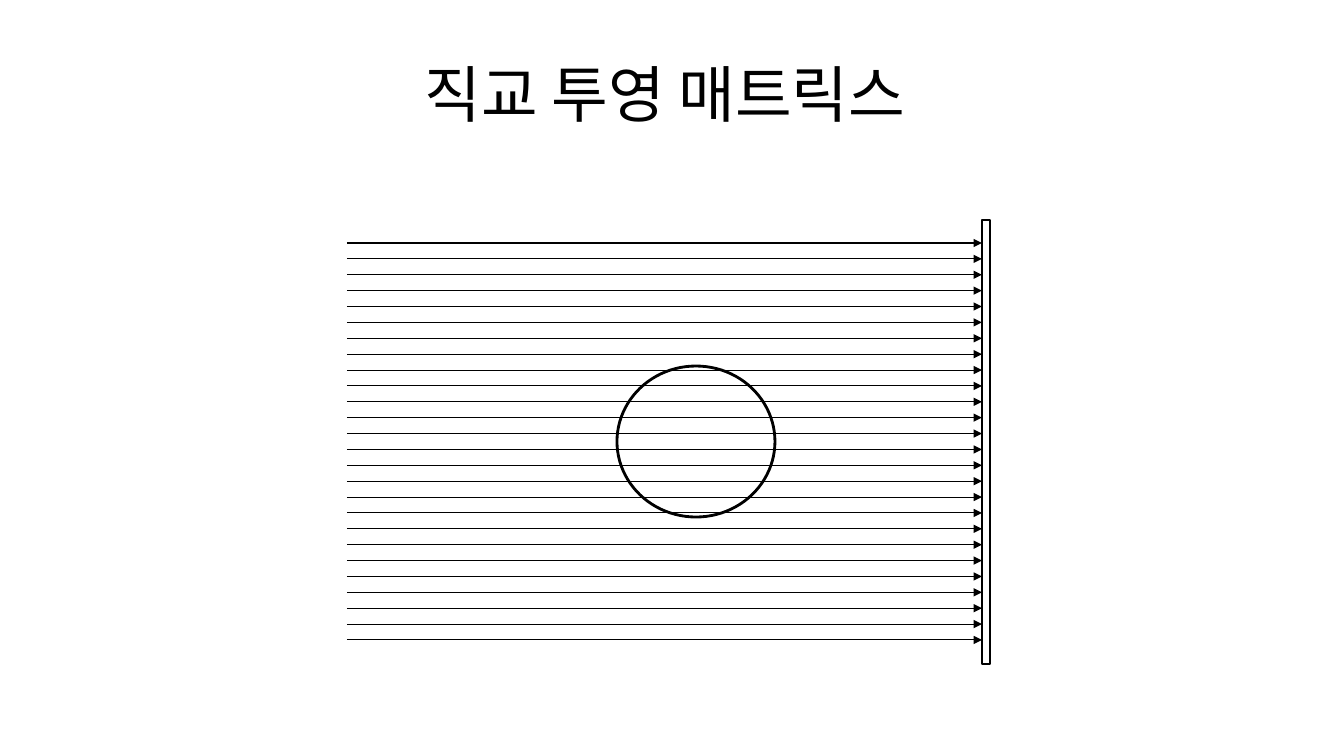
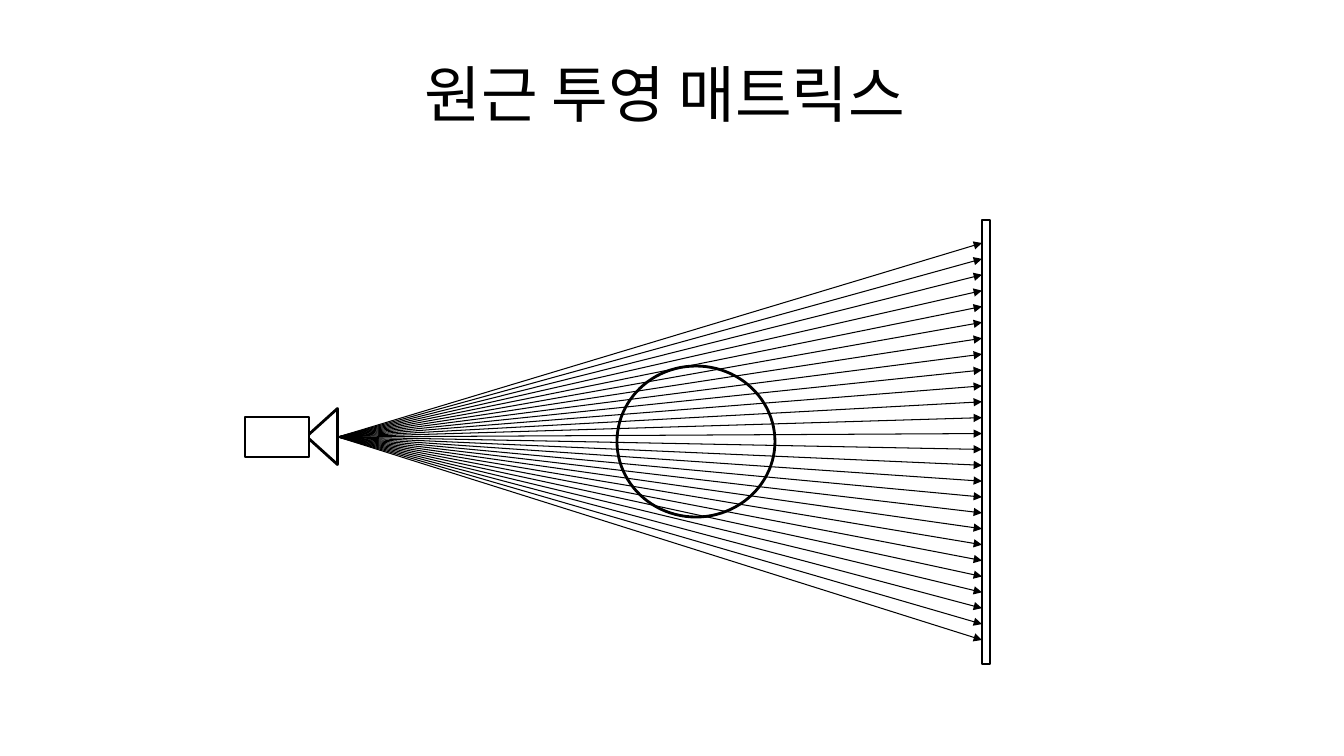
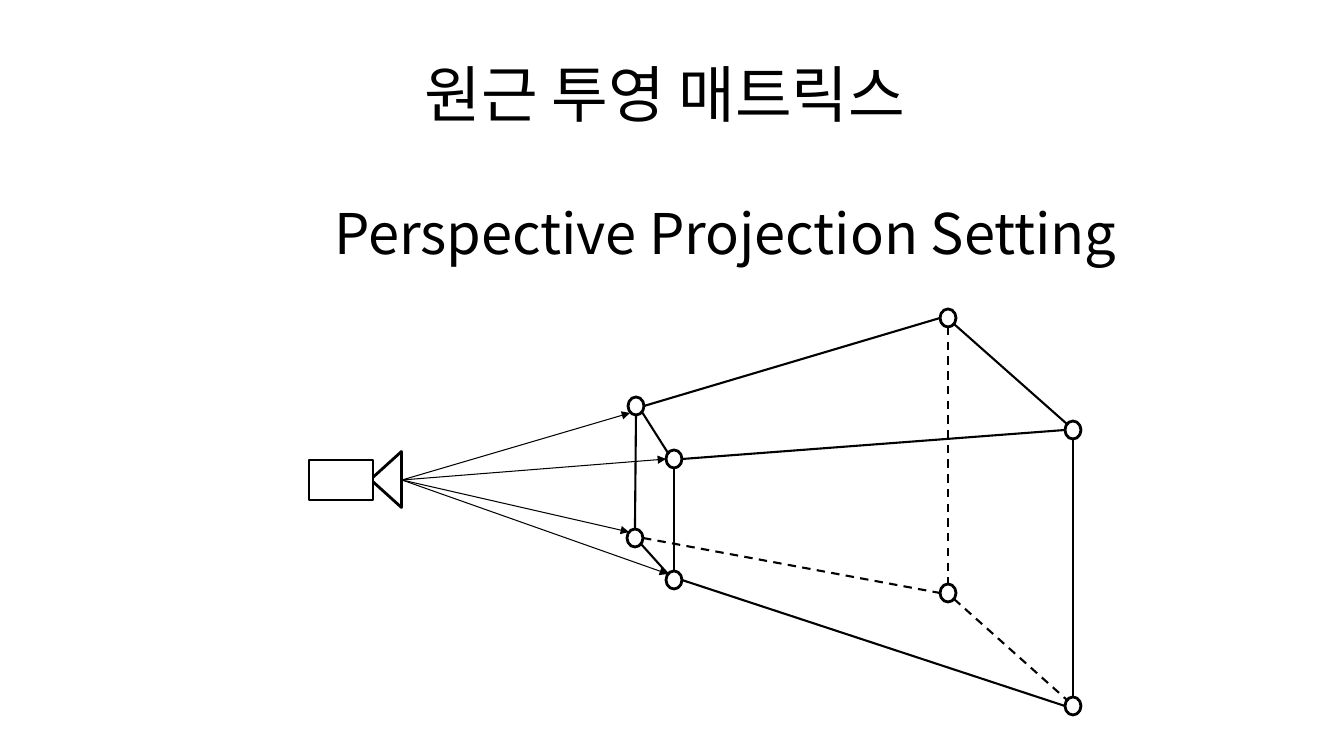
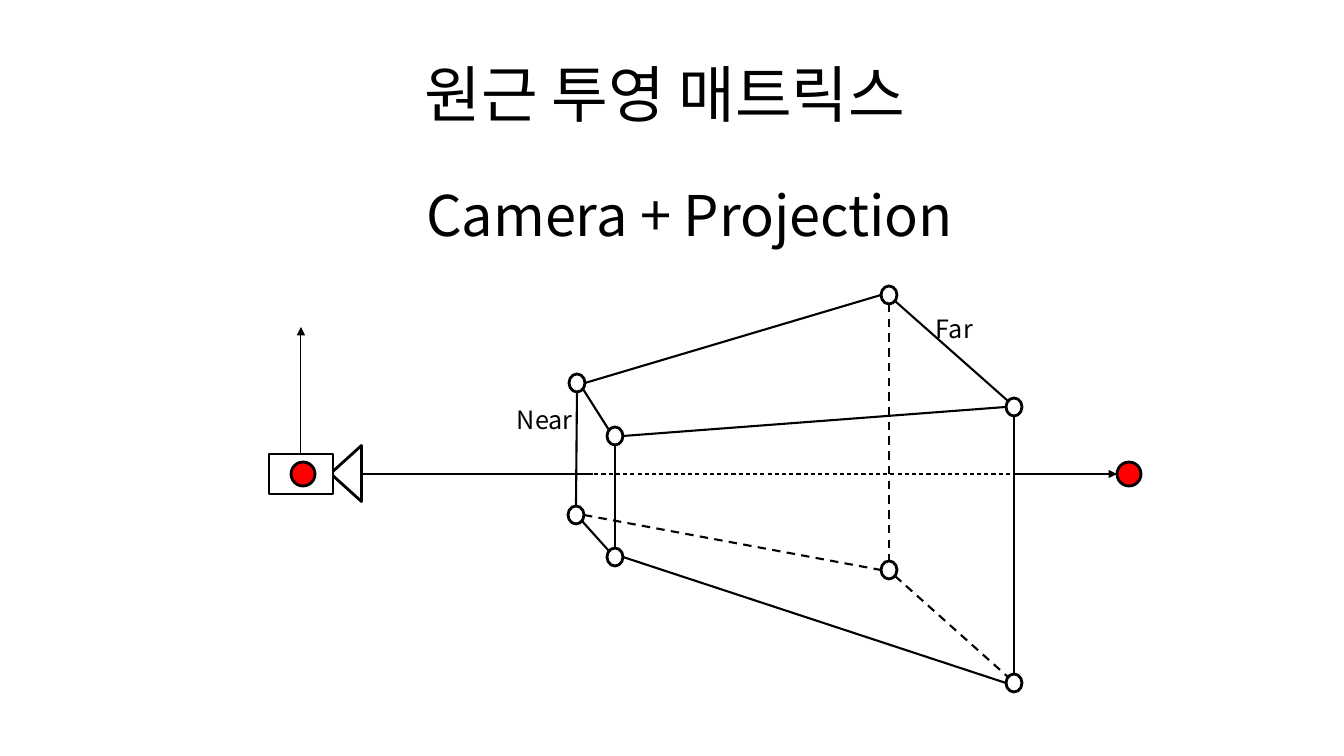
from pptx import Presentation
from pptx.dml.color import RGBColor
from pptx.enum.dml import MSO_LINE
from pptx.enum.shapes import MSO_CONNECTOR, MSO_SHAPE
from pptx.enum.text import MSO_ANCHOR, MSO_AUTO_SIZE, PP_ALIGN
from pptx.oxml.ns import qn
from pptx.util import Pt
from lxml.etree import SubElement

SCALE = 914400 / 100.8
FONT = "Noto Sans CJK KR"
COLORS = {"ink": "000000", "paper": "FFFFFF", "target": "FF0000"}
OUTLINE, EDGE, RAY = 2, 1.5, 0.75


def add_outlined(slide, kind, left, top, width, height, fill="paper", rotation=0):
    """Add a preset shape with a flat fill and a black outline."""
    shape = slide.shapes.add_shape(
        kind, *(round(length * SCALE) for length in (left, top, width, height)))
    shape.shadow.inherit = False
    shape.rotation = rotation
    shape.fill.solid()
    shape.fill.fore_color.rgb = RGBColor.from_string(COLORS[fill])
    shape.line.color.rgb = RGBColor.from_string(COLORS["ink"])
    shape.line.width = Pt(OUTLINE)


def add_line(slide, start, end, weight=RAY, dashed=False, arrow=False):
    """Add a straight black line, dashed or with an arrowhead on request."""
    line = slide.shapes.add_connector(
        MSO_CONNECTOR.STRAIGHT, *(round(length * SCALE) for length in (*start, *end)))
    line.line.color.rgb = RGBColor.from_string(COLORS["ink"])
    line.line.width = Pt(weight)
    if dashed:
        line.line.dash_style = MSO_LINE.DASH
    if arrow:
        SubElement(line.line._get_or_add_ln(), qn("a:tailEnd"), type="triangle")
    SubElement(line._element.spPr, qn("a:effectLst"))


deck = Presentation()
deck.slide_width = round(1344 * SCALE)
deck.slide_height = round(756 * SCALE)
slides = [deck.slides.add_slide(deck.slide_layouts[6]) for _ in range(4)]
orthographic, perspective, setting, camera_view = slides

# Screen, ball and rays: parallel on one slide, from the lens on the next
LENS = (93, 20)
RAY_COUNT, FIRST_RAY, LAST_RAY, SCREEN_LEFT = 26, 243, 640, 982
ray_gap = (LAST_RAY - FIRST_RAY) / (RAY_COUNT - 1)
for slide, source in ((orthographic, None), (perspective, (338, 437))):
    add_outlined(slide, MSO_SHAPE.RECTANGLE, SCREEN_LEFT, 220, 8, 444)
    add_outlined(slide, MSO_SHAPE.OVAL, 617, 366, 158, 151)
    for index in range(RAY_COUNT):
        y = FIRST_RAY + index * ray_gap
        add_line(slide, source or (347, y), (SCREEN_LEFT, y), arrow=True)

# Cameras
CAMERAS = ((perspective, 245, 417), (setting, 309, 460), (camera_view, 269, 454))
for slide, left, top in CAMERAS:
    add_outlined(slide, MSO_SHAPE.ISOSCELES_TRIANGLE, left + 49, top + 4, 56, 31,
                 rotation=270)
    add_outlined(slide, MSO_SHAPE.RECTANGLE, left, top, 64, 40)

# View axis from the camera to its target
AXIS = 474
for left in (291, 1117):
    add_outlined(camera_view, MSO_SHAPE.OVAL, left, AXIS - 12, 24, 24, fill="target")
add_line(camera_view, (587, AXIS), (1014, AXIS), dashed=True)
add_line(camera_view, (301, 454), (301, 327), arrow=True)
add_line(camera_view, (362, AXIS), (593, AXIS))
add_line(camera_view, (1014, AXIS), (1117, AXIS), arrow=True)

# View frustum: corner centres, and edges that leave a corner on a given side
CORNERS = {
    "near back top": (636, 406), "near back bottom": (635, 538),
    "near front bottom": (674, 580), "near front top": (674, 459),
    "far back top": (948, 318), "far front top": (1073, 430),
    "far front bottom": (1073, 706), "far back bottom": (948, 593),
}
SIDES = {"front": (6, 6), "bottom": (0, 9), "far": (8, 0)}
EDGES = (
    ("near back top", "near front top", "front", False),
    ("near back bottom", "near front bottom", "front", False),
    ("far back top", "far front top", "front", False),
    ("far back bottom", "far front bottom", "front", True),
    ("near back top", "near back bottom", "bottom", False),
    ("far back top", "far back bottom", "bottom", True),
    ("near front top", "near front bottom", "bottom", False),
    ("far front top", "far front bottom", "bottom", False),
    ("near back top", "far back top", "far", False),
    ("near back bottom", "far back bottom", "far", True),
    ("near front top", "far front top", "far", False),
    ("near front bottom", "far front bottom", "far", False),
)
for slide, shift_x, shift_y in ((setting, 0, 0), (camera_view, -59, -23)):
    corners = {name: (x + shift_x, y + shift_y) for name, (x, y) in CORNERS.items()}
    for first, last, side, dashed in EDGES:
        (x1, y1), (x2, y2), (dx, dy) = corners[first], corners[last], SIDES[side]
        add_line(slide, (x1 + dx, y1 + dy), (x2 - dx, y2 - dy), EDGE, dashed)
    for x, y in corners.values():
        add_outlined(slide, MSO_SHAPE.OVAL, x - 8, y - 9, 16, 18)

# Rays from the lens to the near plane
lens = (309 + LENS[0], 460 + LENS[1])
NEAR_RAYS = (("near back top", -6, 7), ("near front bottom", -6, -6),
             ("near front top", -8, 0), ("near back bottom", -6, -6))
for name, dx, dy in NEAR_RAYS:
    x, y = CORNERS[name]
    add_line(setting, lens, (x + dx, y + dy), arrow=True)

# Titles, headings and labels
STYLES = {
    "title": {"size": 44, "align": PP_ALIGN.CENTER, "anchor": MSO_ANCHOR.MIDDLE},
    "heading": {"size": 40, "align": PP_ALIGN.CENTER, "anchor": MSO_ANCHOR.TOP},
    "label": {"size": 18, "align": PP_ALIGN.LEFT, "anchor": MSO_ANCHOR.TOP},
}
TITLE_AREA = (67, 30, 1210, 126)
TEXTS = [(orthographic, "title", "직교 투영 매트릭스 ", TITLE_AREA)]
TEXTS += [(slide, "title", "원근 투영 매트릭스 ", TITLE_AREA) for slide in slides[1:]]
TEXTS += [
    (setting, "heading", "Perspective Projection Setting", (308, 194, 835, 78)),
    (camera_view, "heading", "Camera + Projection", (272, 176, 835, 78)),
    (camera_view, "label", "Near", (507, 399, 103, 40)),
    (camera_view, "label", "Far", (926, 308, 103, 40)),
]
for slide, style_name, words, area in TEXTS:
    style = STYLES[style_name]
    box = slide.shapes.add_textbox(*(round(length * SCALE) for length in area))
    frame_format = {"word_wrap": True, "auto_size": MSO_AUTO_SIZE.NONE,
                    "vertical_anchor": style["anchor"]}
    for name, value in frame_format.items():
        setattr(box.text_frame, name, value)
    para = box.text_frame.paragraphs[0]
    para.alignment = style["align"]
    span = para.add_run()
    span.text = words
    for name, value in {"size": Pt(style["size"]), "name": FONT}.items():
        setattr(span.font, name, value)
    span.font.color.rgb = RGBColor.from_string(COLORS["ink"])
    SubElement(span.font._element, qn("a:ea"), typeface=FONT)

deck.save("out.pptx")
